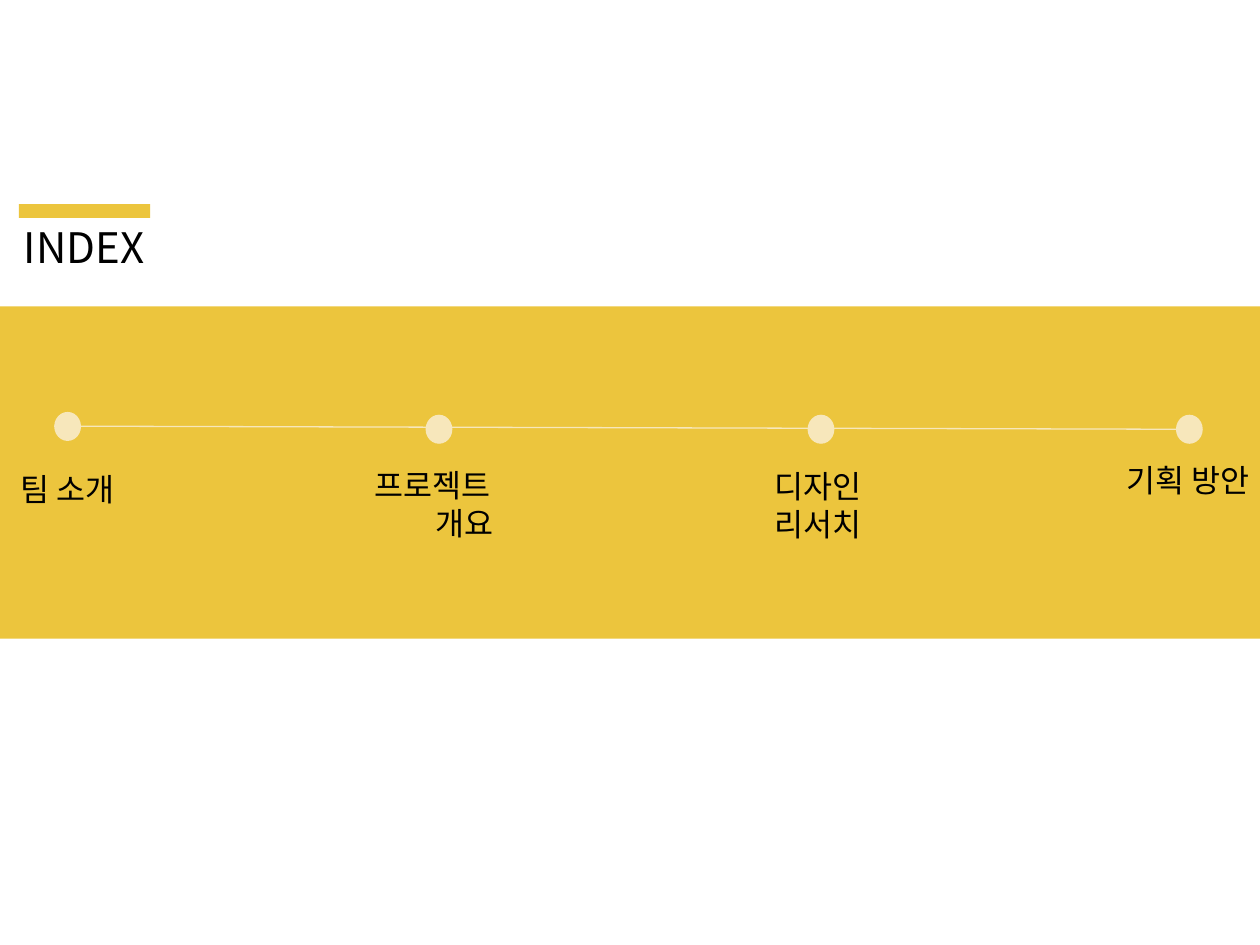
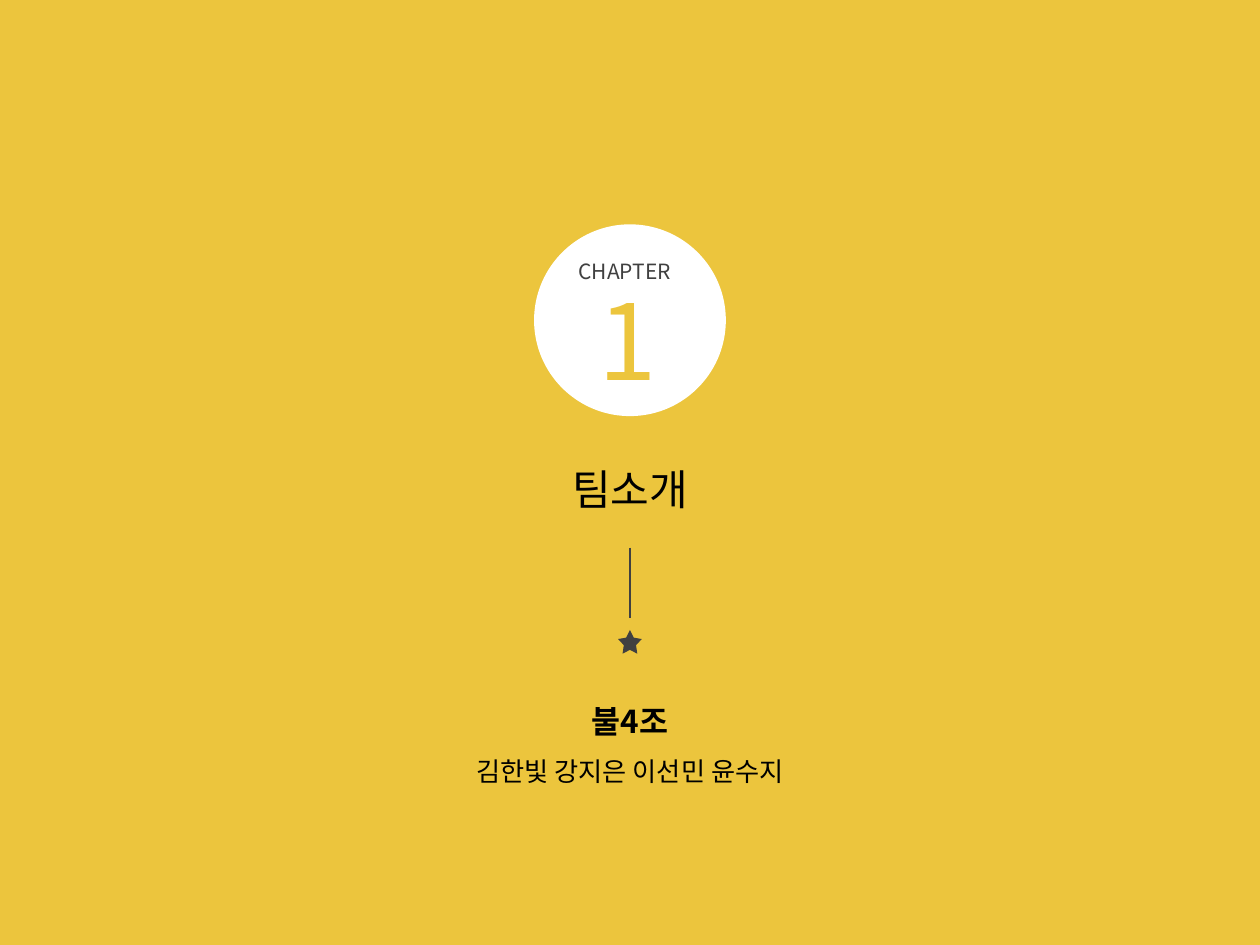
"""Build the index slide and the first chapter slide."""
from lxml.etree import SubElement
from pptx import Presentation
from pptx.dml.color import RGBColor
from pptx.enum.shapes import MSO_CONNECTOR, MSO_SHAPE
from pptx.enum.text import MSO_ANCHOR, MSO_AUTO_SIZE, PP_ALIGN
from pptx.oxml.ns import qn
from pptx.util import Pt

FONT = "Noto Sans CJK KR"
YELLOW, CREAM, WHITE = "ECC53D", "F7E7BB", "FFFFFF"
GREY, BLACK = "404040", "000000"
WIDTH, HEIGHT = 720, 540


def color(value):
    """Turn a hex string into a colour."""
    return RGBColor.from_string(value)


class Deck:
    """Hold the shared style and the current slide."""

    def __init__(self):
        """Start a presentation of the right size."""
        self.presentation = Presentation()
        self.presentation.slide_width = Pt(WIDTH)
        self.presentation.slide_height = Pt(HEIGHT)
        self.slide = None

    def start_slide(self, background):
        """Add a title-only slide with a plain background."""
        layout = self.presentation.slide_layouts[5]
        self.slide = self.presentation.slides.add_slide(layout)
        fill = self.slide.background.fill
        fill.solid()
        fill.fore_color.rgb = color(background)

    def fill_frame(self, frame, lines, align, spacing=None):
        """Add one paragraph per (text, size, colour, bold, indent)."""
        frame.word_wrap = True
        frame.auto_size = MSO_AUTO_SIZE.NONE
        frame.vertical_anchor = MSO_ANCHOR.TOP
        for index, (text, size, hue, bold, indent) in enumerate(lines):
            paragraph = frame.add_paragraph() if index else frame.paragraphs[0]
            paragraph.alignment = align
            paragraph.line_spacing = spacing
            if indent:
                paragraph._p.get_or_add_pPr().set("marL", str(Pt(indent)))
            run = paragraph.add_run()
            run.text = text
            run.font.size = Pt(size)
            run.font.bold = bold
            run.font.name = FONT
            run.font.color.rgb = color(hue)
            SubElement(run._r.get_or_add_rPr(), qn("a:ea")).set("typeface", FONT)

    def title(self, text, left, top, width, align):
        """Place and fill the title placeholder."""
        title = self.slide.shapes.title
        title.left, title.top = Pt(left), Pt(top)
        title.width, title.height = Pt(width), Pt(36)
        self.fill_frame(title.text_frame, [(text, 24, BLACK, False, 0)], align)

    def text(self, lines, left, top, width, height, align=PP_ALIGN.CENTER, spacing=None):
        """Add a text box."""
        box = self.slide.shapes.add_textbox(Pt(left), Pt(top), Pt(width), Pt(height))
        self.fill_frame(box.text_frame, lines, align, spacing)

    def shape(self, kind, fill, left, top, width, height):
        """Add a filled shape without outline or shadow."""
        shape = self.slide.shapes.add_shape(kind, Pt(left), Pt(top), Pt(width), Pt(height))
        shape.shadow.inherit = False
        shape.fill.solid()
        shape.fill.fore_color.rgb = color(fill)
        shape.line.fill.background()
        return shape

    def line(self, hue, weight, *ends):
        """Add a straight line without shadow."""
        line = self.slide.shapes.add_connector(MSO_CONNECTOR.STRAIGHT, *map(Pt, ends))
        line.line.color.rgb = color(hue)
        line.line.width = Pt(weight)
        SubElement(line._element.spPr, qn("a:effectLst"))


def build_index(deck):
    """Build the index with its timeline."""
    deck.start_slide(WHITE)
    deck.shape(MSO_SHAPE.RECTANGLE, YELLOW, 0, 175, WIDTH, 190)
    deck.title("INDEX", 6.5, 123, 85, PP_ALIGN.LEFT)
    deck.shape(MSO_SHAPE.RECTANGLE, YELLOW, 10.8, 116.7, 75, 7.8)
    deck.line(CREAM, 0.75, 672, 245.3, 31, 243.5)
    stops = [
        (31, 235.4, 4.5, 265, 78, [("팀 소개", 0)]),
        (243.2, 237, 206.7, 262.8, 88, [("프로젝트", 0), ("개요", 35)]),
        (461.5, 237, 435.8, 263.5, 66, [("디자인", 0), ("리서치", 0)]),
        (672, 237, 636.5, 260, 86, [("기획 방안", 0)]),
    ]
    for dot_left, dot_top, left, top, width, label in stops:
        deck.shape(MSO_SHAPE.OVAL, CREAM, dot_left, dot_top, 15.3, 16.6)
        lines = [(text, 18, BLACK, False, indent) for text, indent in label]
        deck.text(lines, left, top, width, 7 + 22 * len(lines), PP_ALIGN.LEFT)


def build_chapter(deck):
    """Build the chapter opener."""
    deck.start_slide(YELLOW)
    deck.shape(MSO_SHAPE.OVAL, WHITE, 305.2, 128.2, 109.6, 109.6)
    deck.text([("1", 60, YELLOW, False, 0)], 332, 154, 53.5, 80)
    deck.text([("CHAPTER", 12, GREY, False, 0)], 314.5, 144, 85, 21.6)
    deck.title("팀소개", 227.5, 261.5, 265, PP_ALIGN.CENTER)
    deck.line(GREY, 1, 360, 313, 360, 353)
    star = deck.shape(MSO_SHAPE.STAR_5_POINT, GREY, 353.2, 360, 13.6, 13.6)
    star.adjustments[0] = 0.257
    team = [
        ("불4조", 18, BLACK, True, 0),
        ("김한빛 강지은 이선민 윤수지", 15, BLACK, False, 0),
    ]
    deck.text(team, 227.5, 386.6, 265, 67, spacing=1.5)


deck = Deck()
build_index(deck)
build_chapter(deck)
deck.presentation.save("out.pptx")
